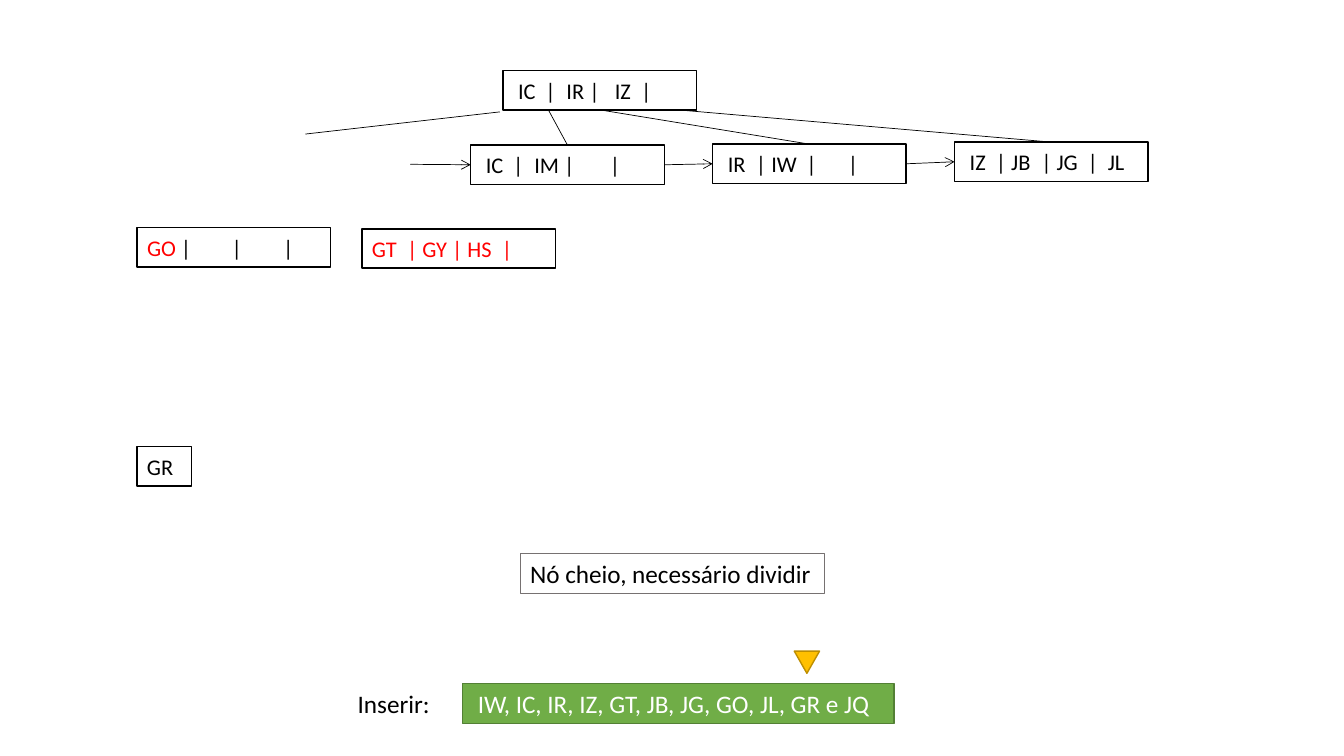
from dataclasses import dataclass

from lxml import etree
from pptx import Presentation
from pptx.dml.color import RGBColor
from pptx.enum.shapes import MSO_CONNECTOR, MSO_SHAPE
from pptx.enum.text import MSO_ANCHOR, PP_ALIGN
from pptx.oxml.ns import qn
from pptx.util import Emu, Inches, Pt

RECT = MSO_SHAPE.RECTANGLE
MERGE = MSO_SHAPE.FLOWCHART_MERGE
STRAIGHT = MSO_CONNECTOR.STRAIGHT
LEFT, MIDDLE, TOP = PP_ALIGN.LEFT, MSO_ANCHOR.MIDDLE, MSO_ANCHOR.TOP
SIDE_TOP, SIDE_LEFT, SIDE_BOTTOM, SIDE_RIGHT = range(4)


@dataclass(frozen=True)
class Theme:
    font: str = "Calibri"
    key_size: float = 16
    label_size: float = 18
    black: str = "000000"
    white: str = "FFFFFF"
    red: str = "FF0000"
    green: str = "70AD47"
    dark_green: str = "538035"
    gold: str = "FFC000"
    dark_gold: str = "BD8E00"
    grey: str = "767171"


@dataclass(frozen=True)
class Box:
    """A place on the grid, in columns and rows."""
    col: float
    row: float
    cols: float
    rows: float


@dataclass(frozen=True)
class Node:
    name: str
    col: float
    row: float
    runs: tuple      # (text, colour) pairs
    stops: tuple = ()    # tab stops, in inches
    inset: float = 0.15
    cols: float = 11.52
    margin: float = 0.36


T = Theme()
prs = Presentation()
prs.slide_width, prs.slide_height = Inches(13.33), Inches(7.5)
COL, ROW = prs.slide_width / 80, prs.slide_height / 45
NODE_ROWS = 2.34
slide = prs.slides.add_slide(prs.slide_layouts[6])


def point(col: float, row: float) -> tuple:
    return Emu(round(col * COL)), Emu(round(row * ROW))


def place(box: Box) -> tuple:
    return point(box.col, box.row) + point(box.cols, box.rows)


def add_box(shapes, box: Box, kind=RECT, fill=None, line=T.black, width=1.0):
    sp = shapes.add_shape(kind, *place(box))
    sp.shadow.inherit = False
    if fill:
        sp.fill.solid()
        sp.fill.fore_color.rgb = RGBColor.from_string(fill)
    else:
        sp.fill.background()
    sp.line.color.rgb = RGBColor.from_string(line)
    sp.line.width = Pt(width)
    return sp


def write(sp, runs: tuple, size: float, inset=0.1, stops=(), anchor=TOP) -> None:
    tf = sp.text_frame
    tf.word_wrap = True
    tf.vertical_anchor = anchor
    tf.margin_left = Inches(inset)
    p = tf.paragraphs[0]
    p.alignment = LEFT
    if stops:
        tabs = etree.SubElement(p._p.get_or_add_pPr(), qn("a:tabLst"))
        for stop in stops:
            etree.SubElement(tabs, qn("a:tab"), pos=str(Inches(stop)), algn="l")
    for text, colour in runs:
        r = p.add_run()
        r.text = text
        r.font.name, r.font.size = T.font, Pt(size)
        r.font.color.rgb = RGBColor.from_string(colour)


def add_node(node: Node):
    group = slide.shapes.add_group_shape()
    sp = add_box(group.shapes, Box(node.col, node.row, node.cols, NODE_ROWS), fill=T.white)
    keys = Box(node.col, node.row + 0.09, node.cols - node.margin, 2.22)
    tb = group.shapes.add_textbox(*place(keys))
    write(tb, node.runs, T.key_size, node.inset, node.stops)
    return sp


def add_line(start: tuple, end: tuple, arrow=False):
    """Each end is a grid point or a (shape, side) pair."""
    line = slide.shapes.add_connector(STRAIGHT, 0, 0, 0, 0)
    if isinstance(start[0], (int, float)):
        line.begin_x, line.begin_y = point(*start)
    else:
        line.begin_connect(*start)
    if isinstance(end[0], (int, float)):
        line.end_x, line.end_y = point(*end)
    else:
        line.end_connect(*end)
    line.line.color.rgb = RGBColor.from_string(T.black)
    line.line.width = Pt(0.5)
    props = line.element.spPr
    if arrow:
        etree.SubElement(props.find(qn("a:ln")), qn("a:tailEnd"), type="arrow")
    etree.SubElement(props, qn("a:effectLst"))
    return line


# Tree nodes: root, linked leaves, split halves and the pending key
LEAF_COL, LEAF_STEP = 28.02, 14.4
NODES = (
    Node("root", 29.94, 4.2, (("IC\t|\tIR |\tIZ\t|", T.black),), (0.27, 0.48, 0.96, 1.22)),
    Node("IC", LEAF_COL, 8.64, (("IC\t|\tIM |\t|", T.black),), (0.27, 0.48, 1.23)),
    Node("IR", LEAF_COL + LEAF_STEP, 8.58, (("IR\t| IW\t|\t|", T.black),), (0.28, 0.78, 1.19)),
    Node("IZ", LEAF_COL + 2 * LEAF_STEP, 8.46, (("IZ\t| JB\t| JG\t|\tJL", T.black),),
         (0.26, 0.71, 1.17, 1.37)),
    Node("GO", 8.16, 13.56, (("GO", T.red), (" |\t|\t|", T.black)), (0.84, 1.35), 0.1),
    Node("GT", 21.54, 13.62, (("GT\t| GY | HS\t|", T.red),), (0.35, 1.29), 0.1),
    Node("GR", 8.16, 26.58, (("GR", T.black),), (), 0.1, 3.24, 0.12),
)
boxes = {node.name: add_node(node) for node in NODES}
root, leaves = boxes["root"], [boxes[name] for name in ("IC", "IR", "IZ")]

# Links from the root to its children, behind the nodes
add_line((29.76, 6.66), (18.18, 7.98))
starts = ((32.64, 6.54), (root, SIDE_BOTTOM), (38.94, 6.42))
for start, leaf in zip(starts, leaves):
    link = add_line(start, (leaf, SIDE_TOP)).element
    link.getparent().insert(2, link)

# Arrows along the chain of leaves
add_line((24.42, 9.78), (leaves[0], SIDE_LEFT), arrow=True)
for leaf, following in zip(leaves, leaves[1:]):
    add_line((leaf, SIDE_RIGHT), (following, SIDE_LEFT), arrow=True)

# Message
notice = add_box(slide.shapes, Box(30.96, 32.94, 18.12, 2.4), line=T.grey, width=0.75)
write(notice, (("Nó cheio, necessário dividir", T.black),), T.label_size, anchor=MIDDLE)

# Insertion sequence and the marker of the current key
label = slide.shapes.add_textbox(*place(Box(20.7, 40.68, 5.94, 2.4)))
write(label, (("Inserir:", T.black),), T.label_size)
sequence = add_box(slide.shapes, Box(27.54, 40.68, 25.68, 2.4), fill=T.green, line=T.dark_green)
write(sequence, (("IW, IC, IR, IZ, GT, JB, JG, GO, JL, GR e JQ", T.white),),
      T.label_size, inset=0.15, anchor=MIDDLE)
add_box(slide.shapes, Box(47.28, 38.76, 1.5, 1.32), MERGE, T.gold, T.dark_gold)

prs.save("out.pptx")
